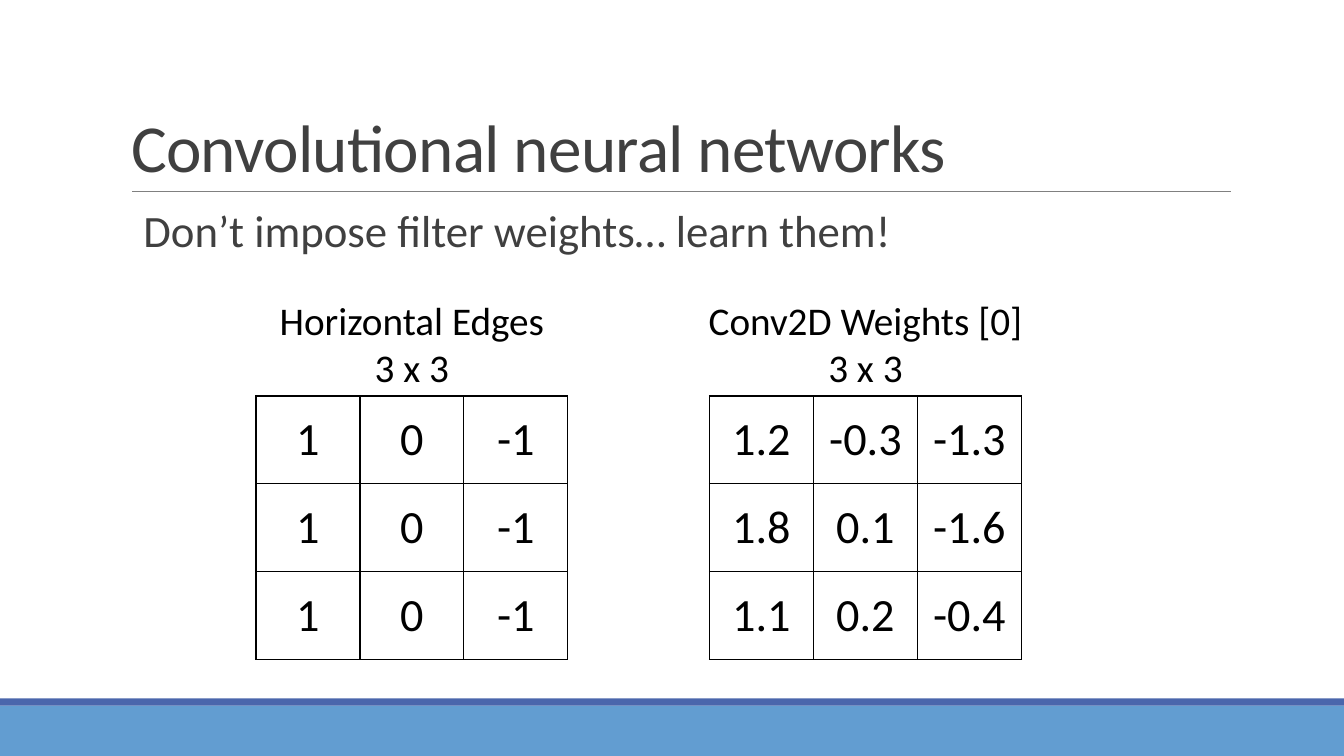
from lxml.etree import SubElement
from pptx import Presentation
from pptx.dml.color import RGBColor as Rgb
from pptx.enum.shapes import MSO_CONNECTOR as Conn, MSO_SHAPE as Shape
from pptx.enum.text import MSO_ANCHOR as Anchor, PP_ALIGN as Align
from pptx.oxml.ns import qn
from pptx.util import Cm, Pt

TITLE = "Convolutional neural networks"
POINT = "Don’t impose filter weights… learn them!"
GRIDS = [
    (["Horizontal Edges", "3 x 3"],
     [["1", "0", "-1"], ["1", "0", "-1"], ["1", "0", "-1"]]),
    (["Conv2D Weights [0]", "3 x 3"],
     [["1.2", "-0.3", "-1.3"], ["1.8", "0.1", "-1.6"], ["1.1", "0.2", "-0.4"]]),
]
COLORS = {"text": "404040", "black": "000000", "rule": "808080",
          "band": "629DD1", "strip": "4A66AC"}
FONT = "Calibri"

WIDE, HIGH = 33.87, 19.05
LEFT, SPAN = 3.05, 27.94            # title and body column
GRID_X, GRID_Y, STEP = 6.45, 9.98, 11.43
CELL_W, CELL_H = 2.62, 2.21
LABEL_W, LABEL_H = 8.69, 2.64


def color(name):
    return Rgb.from_string(COLORS[name])


def write(frame, lines, size, tone="black", align=Align.LEFT, space=1.0,
          anchor=Anchor.TOP):
    frame.word_wrap = True
    frame.vertical_anchor = anchor
    for i, line in enumerate(lines):
        para = frame.paragraphs[0] if i == 0 else frame.add_paragraph()
        para.alignment, para.line_spacing = align, space
        run = para.add_run()
        run.text = line
        font = run.font
        font.name, font.size = FONT, Pt(size)
        font.color.rgb = color(tone)


def add_bar(slide, top, height, tone):
    bar = slide.shapes.add_shape(Shape.RECTANGLE, 0, Cm(top), Cm(WIDE), Cm(height))
    bar.shadow.inherit = False
    bar.fill.solid()
    bar.fill.fore_color.rgb = color(tone)
    bar.line.fill.background()


def add_rule(slide):
    y = Cm(4.83)
    rule = slide.shapes.add_connector(Conn.STRAIGHT, Cm(3.33), y, Cm(31.01), y)
    rule.line.color.rgb = color("rule")
    rule.line.width = Pt(0.5)
    SubElement(rule.element.spPr, qn("a:effectLst"))


def add_title(slide):
    title = slide.shapes.title
    title.left, title.top = Cm(LEFT), Cm(0.79)
    title.width, title.height = Cm(SPAN), Cm(4.04)
    write(title.text_frame, [TITLE], 48, "text", space=0.85, anchor=Anchor.BOTTOM)
    run = title.text_frame.paragraphs[0].runs[0]
    run.font._element.set("spc", "-50")


def add_point(slide):
    box = slide.shapes.add_textbox(Cm(LEFT), Cm(5.13), Cm(SPAN), Cm(11.18))
    frame = box.text_frame
    frame.margin_left = frame.margin_right = 0
    write(frame, [POINT], 32, "text", space=0.9)
    para = frame.paragraphs[0]
    para.space_after = Pt(2)
    props = para._p.get_or_add_pPr()
    props.set("marL", str(Cm(0.25)))
    props.set("indent", str(Cm(-0.25)))
    tint = SubElement(props, qn("a:buClr"))
    SubElement(tint, qn("a:srgbClr"), val=COLORS["strip"])
    SubElement(props, qn("a:buChar"), char=" ")


def add_border(cell):
    props = cell._tc.get_or_add_tcPr()
    for side in ("lnL", "lnR", "lnT", "lnB"):
        line = SubElement(props, qn(f"a:{side}"), w=str(Pt(1)))
        fill = SubElement(line, qn("a:solidFill"))
        SubElement(fill, qn("a:srgbClr"), val=COLORS["black"])


def add_grid(slide, left, label, rows):
    """Add a table of weights with its label centred above it."""
    wide, high = CELL_W * len(rows[0]), CELL_H * len(rows)
    table = slide.shapes.add_table(len(rows), len(rows[0]), Cm(left), Cm(GRID_Y),
                                   Cm(wide), Cm(high)).table
    table.first_row = table.horz_banding = False
    for col in table.columns:
        col.width = Cm(CELL_W)
    for r, row in enumerate(rows):
        table.rows[r].height = Cm(CELL_H)
        for c, value in enumerate(row):
            cell = table.cell(r, c)
            write(cell.text_frame, [value], 33, align=Align.CENTER)
            cell.vertical_anchor = Anchor.MIDDLE
            add_border(cell)
            cell.fill.background()
    box = slide.shapes.add_textbox(Cm(left + (wide - LABEL_W) / 2),
                                   Cm(GRID_Y - LABEL_H), Cm(LABEL_W), Cm(LABEL_H))
    write(box.text_frame, label, 28, align=Align.CENTER)


def main():
    deck = Presentation()
    deck.slide_width, deck.slide_height = Cm(WIDE), Cm(HIGH)
    slide = deck.slides.add_slide(deck.slide_layouts[5])
    add_bar(slide, 17.78, 1.27, "band")
    add_bar(slide, 17.6, 0.18, "strip")
    add_rule(slide)
    add_title(slide)
    add_point(slide)
    for i, (label, rows) in enumerate(GRIDS):
        add_grid(slide, GRID_X + i * STEP, label, rows)
    deck.save("out.pptx")


if __name__ == "__main__":
    main()
